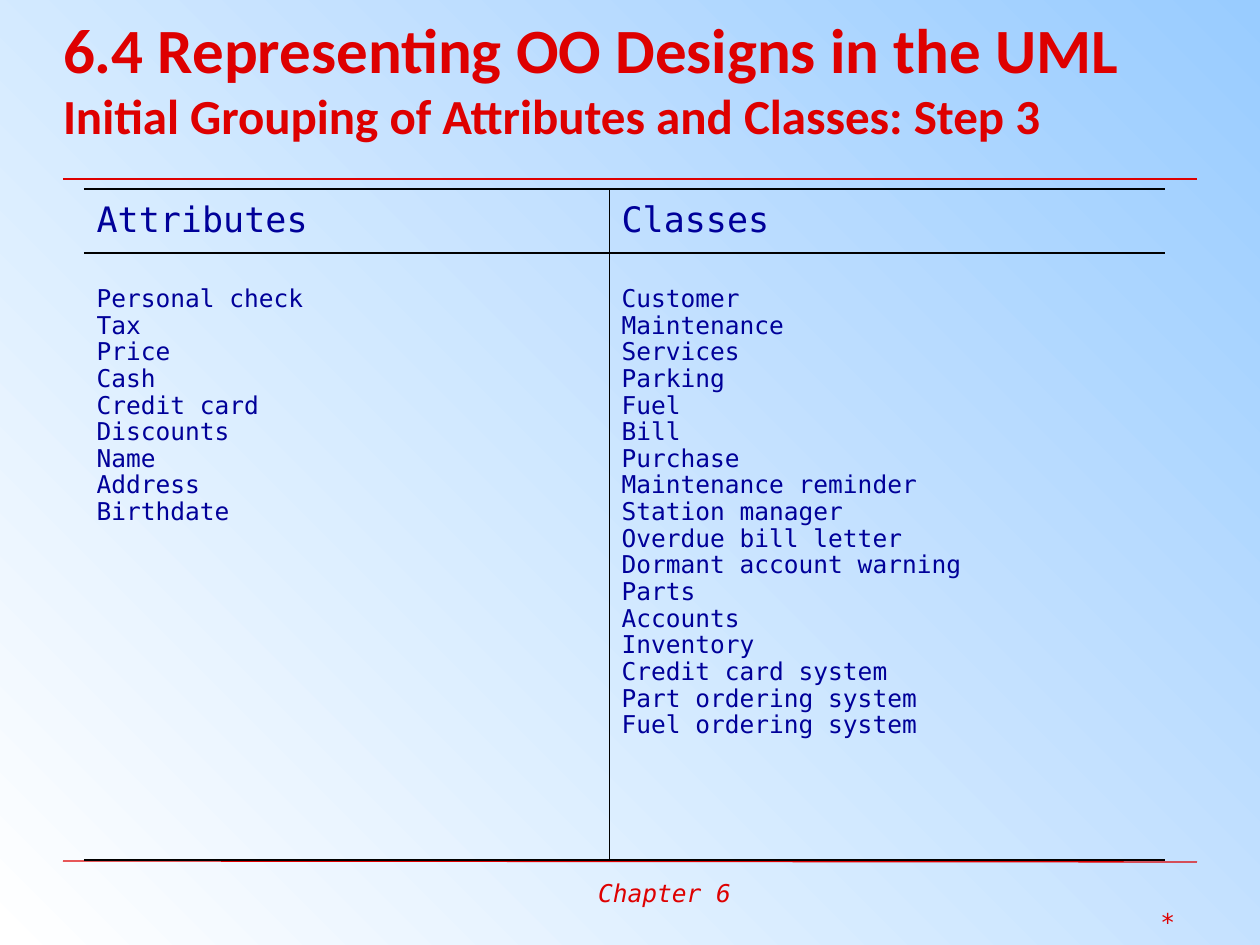
from lxml.etree import SubElement
from pptx import Presentation
from pptx.dml.color import RGBColor
from pptx.enum.shapes import MSO_CONNECTOR
from pptx.enum.text import MSO_ANCHOR, PP_ALIGN
from pptx.oxml import parse_xml
from pptx.oxml.ns import nsdecls, qn
from pptx.util import Emu, Pt

TITLE = [("6.4 Representing OO Designs in the UML", 36),
         ("Initial Grouping of Attributes and Classes: Step 3", 28)]
COLUMNS = {
    "Attributes": ["Personal check", "Tax", "Price", "Cash", "Credit card",
                   "Discounts", "Name", "Address", "Birthdate"],
    "Classes": ["Customer", "Maintenance", "Services", "Parking", "Fuel", "Bill",
                "Purchase", "Maintenance reminder", "Station manager",
                "Overdue bill letter", "Dormant account warning", "Parts",
                "Accounts", "Inventory", "Credit card system",
                "Part ordering system", "Fuel ordering system"],
}
FOOTER = [("Chapter 6", PP_ALIGN.LEFT), ("*", PP_ALIGN.RIGHT)]
RULES = [((63, 861, 1197, 862), 0.75), ((63, 179, 1197, 179), 1.5)]
BACKGROUND = ["99CCFF", "FFFFFF"]
COLUMN_WIDTHS = [525, 556]
ROWS = [{"height": 64, "size": 20, "top": 18, "anchor": MSO_ANCHOR.MIDDLE},
        {"height": 607, "size": 14, "top": 43, "anchor": MSO_ANCHOR.TOP}]
RED, NAVY, BLACK = "DE0000", "000099", "000000"
MONO = "DejaVu Sans Mono"


def px(length):
    return Emu(round(length * 914400 / 126))


def rgb(value):
    return RGBColor.from_string(value)


def apply(target, values):
    for key, value in values.items():
        setattr(target, key, value)


def style(font, size, color, **values):
    apply(font, {"size": Pt(size), **values})
    font.color.rgb = rgb(color)


def text_frame(slide, box, margins):
    frame = slide.shapes.add_textbox(*map(px, box)).text_frame
    left, top = map(px, margins)
    apply(frame, {"word_wrap": True, "margin_left": left, "margin_right": left,
                  "margin_top": top, "margin_bottom": top})
    return frame


def paragraphs(frame, count):
    return [frame.paragraphs[0]] + [frame.add_paragraph() for _ in range(count - 1)]


def set_borders(cell, widths):
    properties = cell._tc.get_or_add_tcPr()
    for position, side in enumerate("LRTB"):
        width = widths.get(side)
        fill = (f'<a:solidFill><a:srgbClr val="{BLACK}"/></a:solidFill>'
                if width else "<a:noFill/>")
        properties.insert(position, parse_xml(
            f'<a:ln{side} {nsdecls("a")} w="{Pt(width or 0)}">{fill}</a:ln{side}>'))


def add_rules(slide):
    for ends, width in RULES:
        rule = slide.shapes.add_connector(MSO_CONNECTOR.STRAIGHT, *map(px, ends))
        rule.line.width = Pt(width)
        rule.line.color.rgb = rgb(RED)
        SubElement(rule._element.spPr, qn("a:effectLst"))


def add_footer(slide):
    frame = text_frame(slide, (577, 872, 611, 43), (13, 6))
    for paragraph, (words, alignment) in zip(paragraphs(frame, len(FOOTER)), FOOTER):
        paragraph.alignment = alignment
        paragraph._p.get_or_add_pPr().set("marL", str(px(8)))
        run = paragraph.add_run()
        run.text = words
        style(run.font, 14, RED, name=MONO, italic=True)


def add_title(slide):
    frame = text_frame(slide, (63, 0, 1166, 155), (0, 0))
    frame.vertical_anchor = MSO_ANCHOR.MIDDLE
    heading = frame.paragraphs[0]
    for index, (words, size) in enumerate(TITLE):
        if index:
            heading.add_line_break()
        run = heading.add_run()
        run.text = words
        style(run.font, size, RED, name="Calibri", bold=True)


def fill_cell(cell, lines, row):
    apply(cell, {"margin_top": px(row["top"]), "vertical_anchor": row["anchor"]})
    for index, (paragraph, words) in enumerate(
            zip(paragraphs(cell.text_frame, len(lines)), lines)):
        apply(paragraph, {"line_spacing": 0.5, "space_before": Pt(7 if index else 0)})
        run = paragraph.add_run()
        run.text = words
        style(run.font, row["size"], NAVY, name=MONO)
    cell.fill.background()


def add_grouping(slide):
    height = sum(row["height"] for row in ROWS)
    table = slide.shapes.add_table(len(ROWS), len(COLUMNS), px(84), px(189),
                                   px(sum(COLUMN_WIDTHS)), px(height)).table
    apply(table, {"first_row": False, "horz_banding": False})
    for row, table_row in zip(ROWS, table.rows):
        table_row.height = px(row["height"])
    for x, (heading, members) in enumerate(COLUMNS.items()):
        table.columns[x].width = px(COLUMN_WIDTHS[x])
        divider = "L" if x else "R"
        for y, lines in enumerate([[heading], members]):
            cell = table.cell(y, x)
            fill_cell(cell, lines, ROWS[y])
            set_borders(cell, {"T": 1.08, "B": 1.08, divider: 0.45})


def main():
    deck = Presentation()
    apply(deck, {"slide_width": px(1260), "slide_height": px(945)})
    slide = deck.slides.add_slide(deck.slide_layouts[6])
    fill = slide.background.fill
    fill.gradient()
    fill.gradient_angle = 225
    for position, (stop, color) in enumerate(zip(fill.gradient_stops, BACKGROUND)):
        stop.color.rgb = rgb(color)
        stop.position = position
    add_rules(slide)
    add_footer(slide)
    add_title(slide)
    add_grouping(slide)
    deck.save("out.pptx")


if __name__ == "__main__":
    main()
